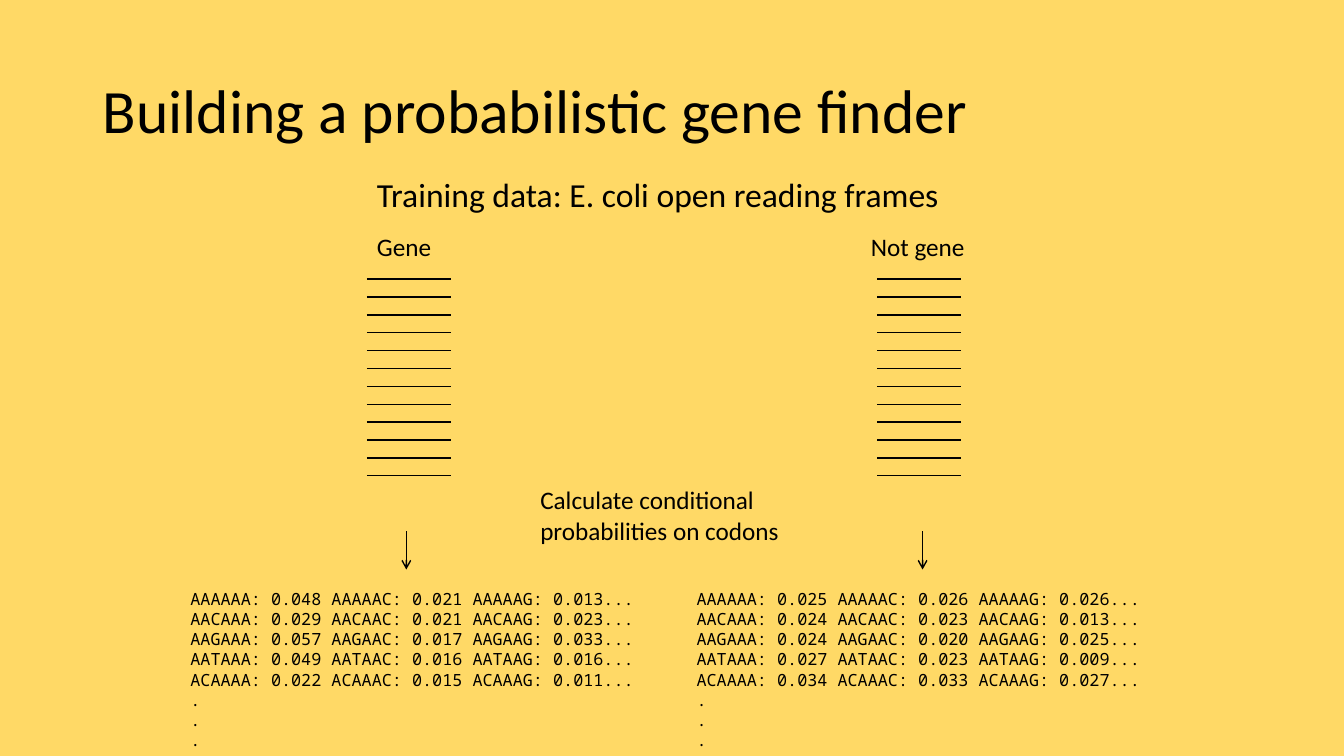
"""Build the slide on training a probabilistic gene finder."""
from dataclasses import dataclass

from lxml import etree
from pptx import Presentation
from pptx.dml.color import RGBColor
from pptx.enum.shapes import MSO_CONNECTOR
from pptx.enum.text import MSO_ANCHOR
from pptx.oxml.ns import qn
from pptx.util import Inches, Pt

STRAIGHT = MSO_CONNECTOR.STRAIGHT
MIDDLE = MSO_ANCHOR.MIDDLE
TOP = MSO_ANCHOR.TOP


@dataclass(frozen=True)
class Theme:
    """Colours, fonts and type sizes of the slide."""
    background: RGBColor = RGBColor(0xFF, 0xD9, 0x66)
    ink: RGBColor = RGBColor(0, 0, 0)
    body_font: str = "Calibri"
    code_font: str = "Noto Sans Mono"
    title_size: int = 44
    subtitle_size: int = 24
    label_size: int = 18
    code_size: int = 12
    line_width: int = 1


THEME = Theme()
FRAME_COUNT = 12
FRAME_TOP = 2.77
FRAME_PITCH = 1.95 / (FRAME_COUNT - 1)
FRAME_LENGTH = 0.83
FIRST_CODONS = ("AAA", "AAC", "AAG", "AAT", "ACA")
NEXT_CODONS = ("AAA", "AAC", "AAG")
GENE_PROBABILITIES = (
    (0.048, 0.021, 0.013),
    (0.029, 0.021, 0.023),
    (0.057, 0.017, 0.033),
    (0.049, 0.016, 0.016),
    (0.022, 0.015, 0.011),
)
NOT_GENE_PROBABILITIES = (
    (0.025, 0.026, 0.026),
    (0.024, 0.023, 0.013),
    (0.024, 0.020, 0.025),
    (0.027, 0.023, 0.009),
    (0.034, 0.033, 0.027),
)


def add_text(slide, box, text, size, font=THEME.body_font, wrap=True,
             anchor=TOP, spacing=1.0):
    """Add a text box at (left, top, width, height) in inches."""
    frame = slide.shapes.add_textbox(*map(Inches, box)).text_frame
    frame.word_wrap = wrap
    frame.vertical_anchor = anchor
    frame.text = text
    for paragraph in frame.paragraphs:
        paragraph.line_spacing = spacing
        for run in paragraph.runs:
            run.font.name = font
            run.font.size = Pt(size)
            run.font.color.rgb = THEME.ink


def add_line(slide, start, end, arrow=False):
    """Draw a straight line between two points in inches."""
    line = slide.shapes.add_connector(
        STRAIGHT, *map(Inches, (*start, *end)))
    line.line.color.rgb = THEME.ink
    line.line.width = Pt(THEME.line_width)
    if arrow:
        etree.SubElement(line.line._get_or_add_ln(), qn("a:tailEnd"),
                         type="arrow")
    etree.SubElement(line._element.spPr, qn("a:effectLst"))


def add_reading_frames(slide, left):
    """Draw a stack of evenly spaced lines standing for reading frames."""
    for index in range(FRAME_COUNT):
        top = FRAME_TOP + index * FRAME_PITCH
        add_line(slide, (left, top), (left + FRAME_LENGTH, top))


def add_codon_listing(slide, left, probabilities):
    """List the conditional probabilities of codon pairs."""
    rows = []
    for first, values in zip(FIRST_CODONS, probabilities):
        pairs = (f"{first}{following}: {value:.3f}"
                 for following, value in zip(NEXT_CODONS, values))
        rows.append(" ".join(pairs) + "...")
    rows += ["."] * 3
    add_text(slide, (left, 5.79, 4.85, 1.72), "\n".join(rows),
             THEME.code_size, font=THEME.code_font)


def add_training_class(slide, label, label_left, label_width, frames_left,
                       arrow_x, listing_left, probabilities):
    """Add one training class: label, frames, arrow and probabilities."""
    add_reading_frames(slide, frames_left)
    add_text(slide, (label_left, 2.25, label_width, 0.4), label,
             THEME.label_size, wrap=False)
    add_line(slide, (arrow_x, 5.27), (arrow_x, 5.65), arrow=True)
    add_codon_listing(slide, listing_left, probabilities)


def main():
    """Build and save the slide."""
    presentation = Presentation()
    presentation.slide_width = Inches(13.33)
    presentation.slide_height = Inches(7.5)
    slide = presentation.slides.add_slide(presentation.slide_layouts[6])
    slide.background.fill.solid()
    slide.background.fill.fore_color.rgb = THEME.background

    add_text(slide, (0.92, 0.4, 11.5, 1.45),
             "Building a probabilistic gene finder", THEME.title_size,
             anchor=MIDDLE, spacing=0.9)
    add_text(slide, (3.64, 1.68, 5.82, 0.5),
             "Training data: E. coli open reading frames",
             THEME.subtitle_size, wrap=False)
    add_training_class(slide, "Gene", 3.64, 0.75, 3.64, 4.03, 1.79,
                       GENE_PROBABILITIES)
    add_training_class(slide, "Not gene", 8.54, 1.14, 8.7, 9.15, 6.81,
                       NOT_GENE_PROBABILITIES)
    add_text(slide, (5.26, 4.76, 3.11, 0.71),
             "Calculate conditional probabilities on codons",
             THEME.label_size)
    presentation.save("out.pptx")


if __name__ == "__main__":
    main()
